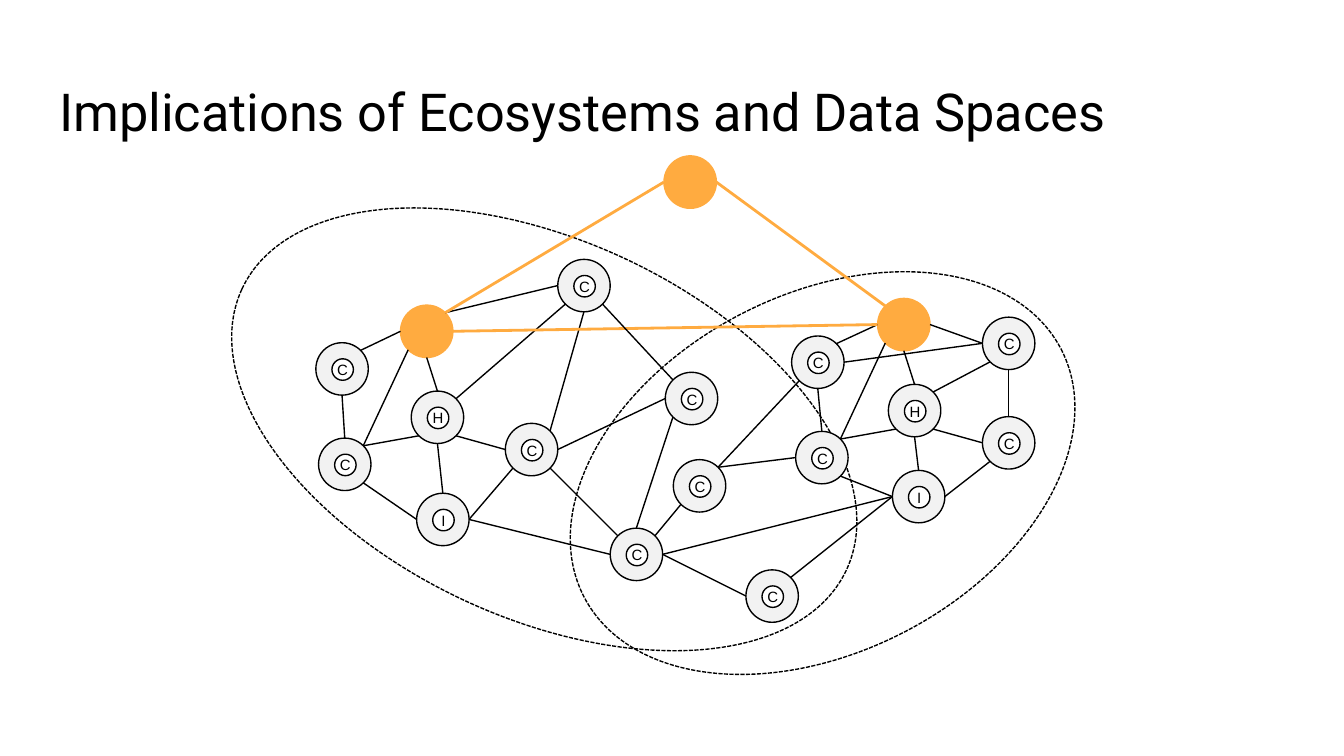
from dataclasses import dataclass
from math import cos, radians, sin
from typing import Optional

from lxml.etree import SubElement
from pptx import Presentation
from pptx.dml.color import RGBColor
from pptx.enum.dml import MSO_LINE
from pptx.enum.shapes import MSO_CONNECTOR, MSO_SHAPE
from pptx.enum.text import MSO_ANCHOR, PP_ALIGN
from pptx.oxml.ns import qn
from pptx.util import Emu, Pt

PX = 9144
PAGE_WIDTH = 1000 * PX
PAGE_HEIGHT = PAGE_WIDTH * 9 // 16
NODE_SIZE = 39
BADGE_SIZE = 16
BADGE_INSET = 12
COLORS = {
    "ink": "000000",
    "node": "F2F2F2",
    "badge": "FFFFFF",
    "accent": "FFAB40",
}
COMPASS = {"E": 0, "SE": 45, "S": 90, "SW": 135, "W": 180, "NW": 225, "N": 270, "NE": 315}
TITLE_FRAME = {
    "word_wrap": True,
    "vertical_anchor": MSO_ANCHOR.TOP,
    "margin_left": 10 * PX,
    "margin_right": 10 * PX,
    "margin_top": 10 * PX,
    "margin_bottom": 10 * PX,
}
BADGE_FRAME = {
    "word_wrap": False,
    "vertical_anchor": MSO_ANCHOR.MIDDLE,
    "margin_left": 0,
    "margin_right": 0,
    "margin_top": 0,
    "margin_bottom": 0,
}


@dataclass(frozen=True)
class Space:
    left: int
    top: int
    width: int
    height: int
    rotation: float


@dataclass(frozen=True)
class Node:
    left: int
    top: int
    letter: str = ""

    def site(self, direction: str) -> tuple[int, int]:
        angle = radians(COMPASS[direction])
        radius = NODE_SIZE / 2
        return (
            round((self.left + radius + radius * cos(angle)) * PX),
            round((self.top + radius + radius * sin(angle)) * PX),
        )


@dataclass(frozen=True)
class Link:
    start: str
    start_site: str
    end: str
    end_site: str
    color: str = "ink"
    weight: float = 0.75


SPACES = [Space(412, 219, 400, 266, 152.5), Space(157, 179, 496, 281, 24.9)]

NODES = {
    "left hub": Node(298, 227),
    "left I": Node(310, 367, "I"),
    "left west": Node(235, 255, "C"),
    "left east": Node(376, 315, "C"),
    "left H": Node(306, 291, "H"),
    "left south": Node(237, 326, "C"),
    "left north": Node(415, 193, "C"),
    "right northeast": Node(731, 236, "C"),
    "right hub": Node(653, 222),
    "right I": Node(664, 350, "I"),
    "right northwest": Node(589, 250, "C"),
    "right southeast": Node(731, 310, "C"),
    "right H": Node(661, 286, "H"),
    "right southwest": Node(592, 321, "C"),
    "apex": Node(494, 116),
    "shared middle": Node(501, 342, "C"),
    "shared south": Node(555, 424, "C"),
    "shared west": Node(454, 393, "C"),
    "shared north": Node(495, 277, "C"),
}

LINKS = [
    Link("left west", "NE", "left hub", "W"),
    Link("left hub", "S", "left H", "N"),
    Link("left north", "W", "left hub", "NE"),
    Link("left north", "SW", "left H", "NE"),
    Link("left H", "SE", "left east", "W"),
    Link("left H", "SW", "left south", "NE"),
    Link("left west", "S", "left south", "N"),
    Link("left I", "W", "left south", "SE"),
    Link("left east", "SW", "left I", "E"),
    Link("left H", "S", "left I", "N"),
    Link("left hub", "SW", "left south", "NE"),
    Link("left north", "S", "left east", "NE"),
    Link("right northwest", "NE", "right hub", "W"),
    Link("right hub", "S", "right H", "N"),
    Link("right H", "NE", "right northeast", "SW"),
    Link("right northeast", "S", "right southeast", "N"),
    Link("right H", "SE", "right southeast", "W"),
    Link("right H", "SW", "right southwest", "NE"),
    Link("right northwest", "S", "right southwest", "N"),
    Link("right I", "W", "right southwest", "SE"),
    Link("right southeast", "SW", "right I", "E"),
    Link("right H", "S", "right I", "N"),
    Link("right hub", "SW", "right southwest", "NE"),
    Link("right hub", "E", "right northeast", "W"),
    Link("right northeast", "W", "right northwest", "E"),
    Link("apex", "W", "left hub", "NE", "accent", 1.5),
    Link("apex", "E", "right hub", "NW", "accent", 1.5),
    Link("left hub", "E", "right hub", "W", "accent", 1.5),
    Link("right southwest", "W", "shared middle", "NE"),
    Link("right northwest", "SW", "shared middle", "NE"),
    Link("shared middle", "SW", "shared west", "NE"),
    Link("shared north", "W", "left east", "E"),
    Link("shared north", "NW", "left north", "SE"),
    Link("shared north", "SW", "shared west", "N"),
    Link("left east", "SE", "shared west", "NW"),
    Link("left I", "E", "shared west", "W"),
    Link("right I", "W", "shared west", "E"),
    Link("shared west", "E", "shared south", "W"),
    Link("shared south", "NE", "right I", "W"),
]


def rgb(name: str) -> RGBColor:
    return RGBColor.from_string(COLORS[name])


def apply(target, values: dict) -> None:
    for name, value in values.items():
        setattr(target, name, value)


def write_text(box, text: str, frame: dict, align, font: dict) -> None:
    apply(box.text_frame, frame)
    para = box.text_frame.paragraphs[0]
    para.alignment = align
    span = para.add_run()
    span.text = text
    apply(span.font, font)
    span.font.color.rgb = rgb("ink")


def draw_ellipse(page, left: int, top: int, width: int, height: int,
                 fill: Optional[str], line: str = "ink"):
    ellipse = page.shapes.add_shape(
        MSO_SHAPE.OVAL, left * PX, top * PX, width * PX, height * PX)
    ellipse.shadow.inherit = False
    if fill:
        ellipse.fill.solid()
        ellipse.fill.fore_color.rgb = rgb(fill)
    else:
        ellipse.fill.background()
    ellipse.line.color.rgb = rgb(line)
    ellipse.line.width = Pt(0.75)
    return ellipse


def draw_space(page, space: Space) -> None:
    ellipse = draw_ellipse(page, space.left, space.top, space.width, space.height, None)
    ellipse.rotation = space.rotation
    ellipse.line.dash_style = MSO_LINE.SQUARE_DOT


def draw_node(page, node: Node) -> None:
    fill, line = ("node", "ink") if node.letter else ("accent", "accent")
    draw_ellipse(page, node.left, node.top, NODE_SIZE, NODE_SIZE, fill, line)
    if node.letter:
        badge = draw_ellipse(page, node.left + BADGE_INSET, node.top + BADGE_INSET,
                             BADGE_SIZE, BADGE_SIZE, "badge")
        write_text(badge, node.letter, BADGE_FRAME, PP_ALIGN.CENTER,
                   {"name": "Arial", "size": Pt(8)})


def draw_link(page, link: Link) -> None:
    start = NODES[link.start].site(link.start_site)
    end = NODES[link.end].site(link.end_site)
    connector = page.shapes.add_connector(MSO_CONNECTOR.STRAIGHT, *start, *end)
    connector.line.color.rgb = rgb(link.color)
    connector.line.width = Pt(link.weight)
    SubElement(connector._element.spPr, qn("a:effectLst"))


def main() -> None:
    deck = Presentation()
    apply(deck, {"slide_width": Emu(PAGE_WIDTH), "slide_height": Emu(PAGE_HEIGHT)})
    page = deck.slides.add_slide(deck.slide_layouts[5])
    title = page.shapes.title
    apply(title, {"left": 34 * PX, "top": 49 * PX, "width": 932 * PX, "height": 63 * PX})
    write_text(title, "Implications of Ecosystems and Data Spaces", TITLE_FRAME,
               PP_ALIGN.LEFT, {"name": "Roboto", "size": Pt(28)})
    for space in SPACES:
        draw_space(page, space)
    for node in NODES.values():
        draw_node(page, node)
    for link in LINKS:
        draw_link(page, link)
    deck.save("out.pptx")


if __name__ == "__main__":
    main()
